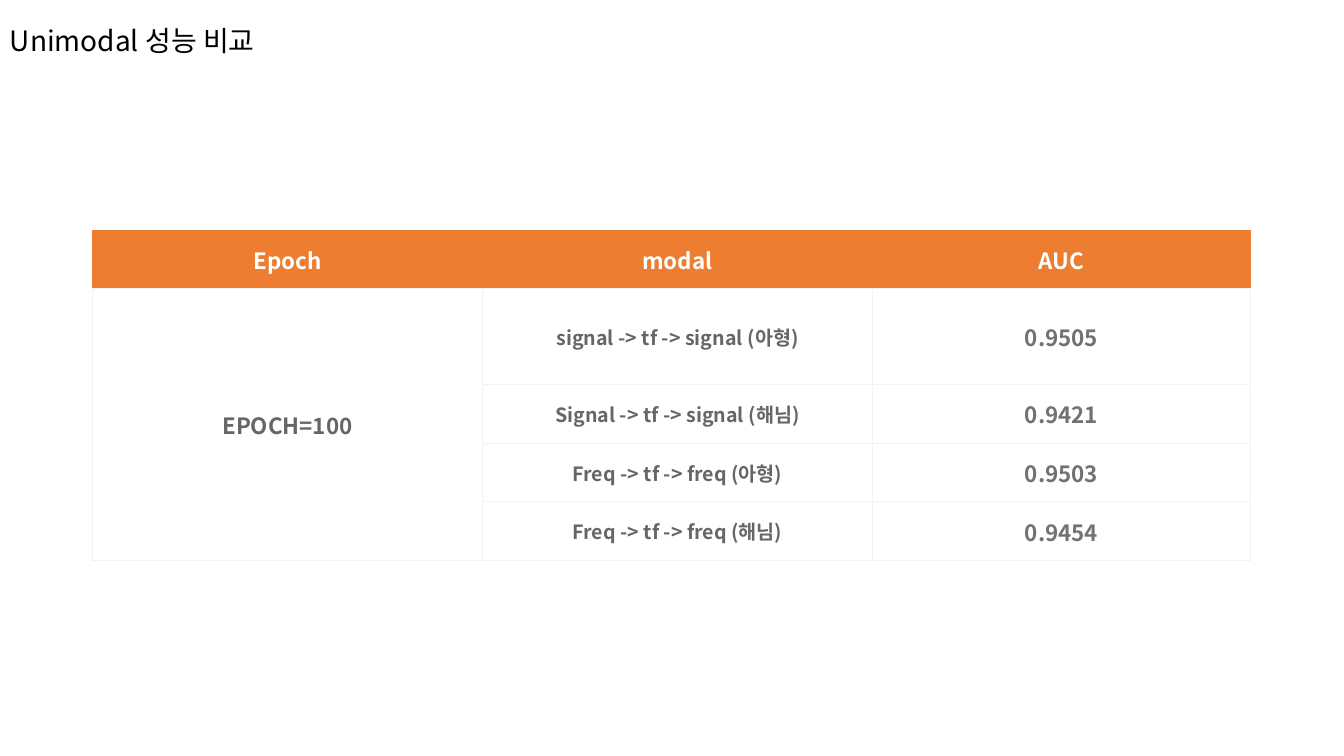
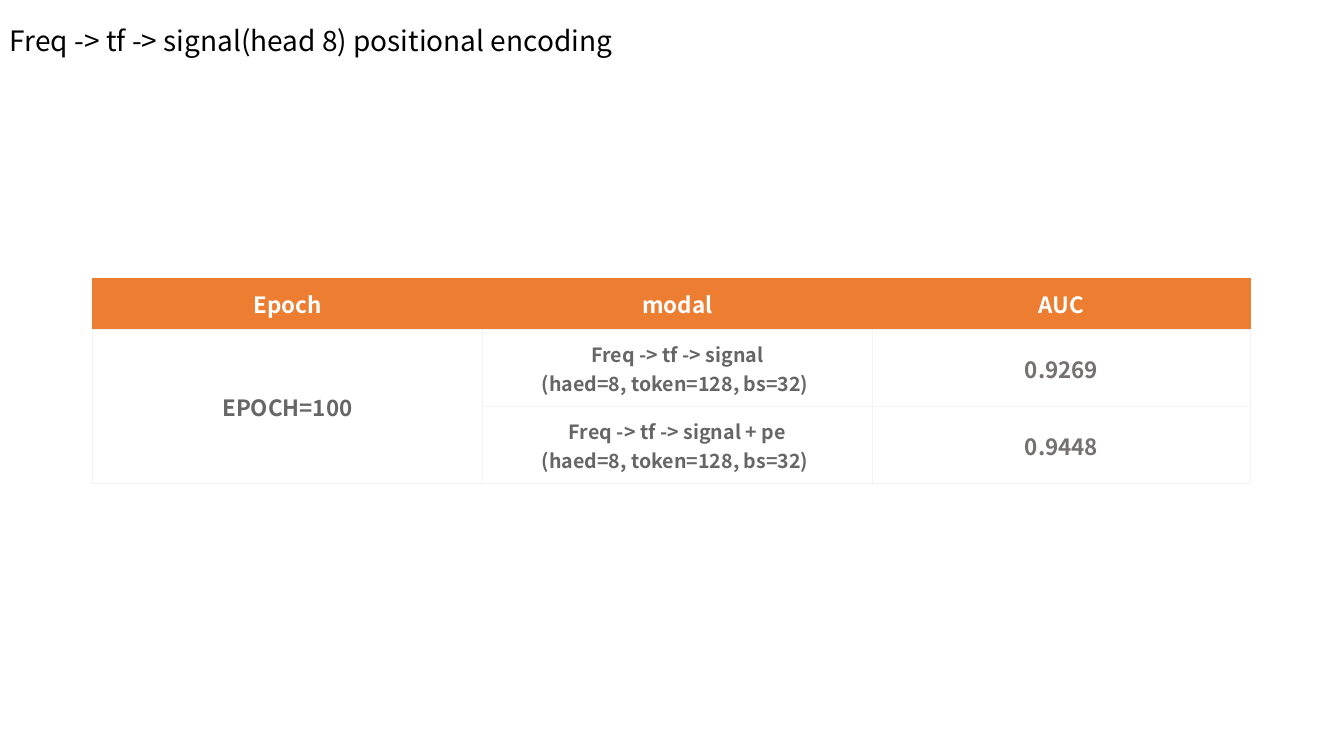
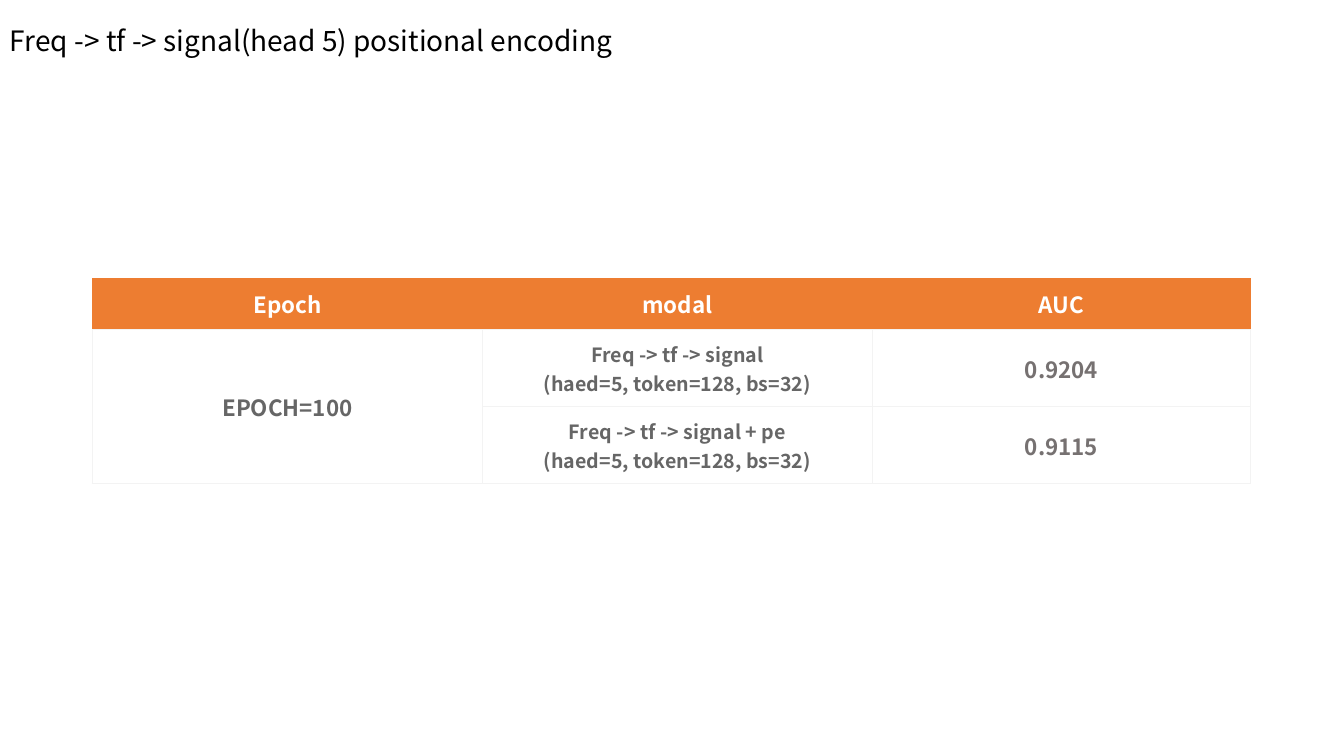
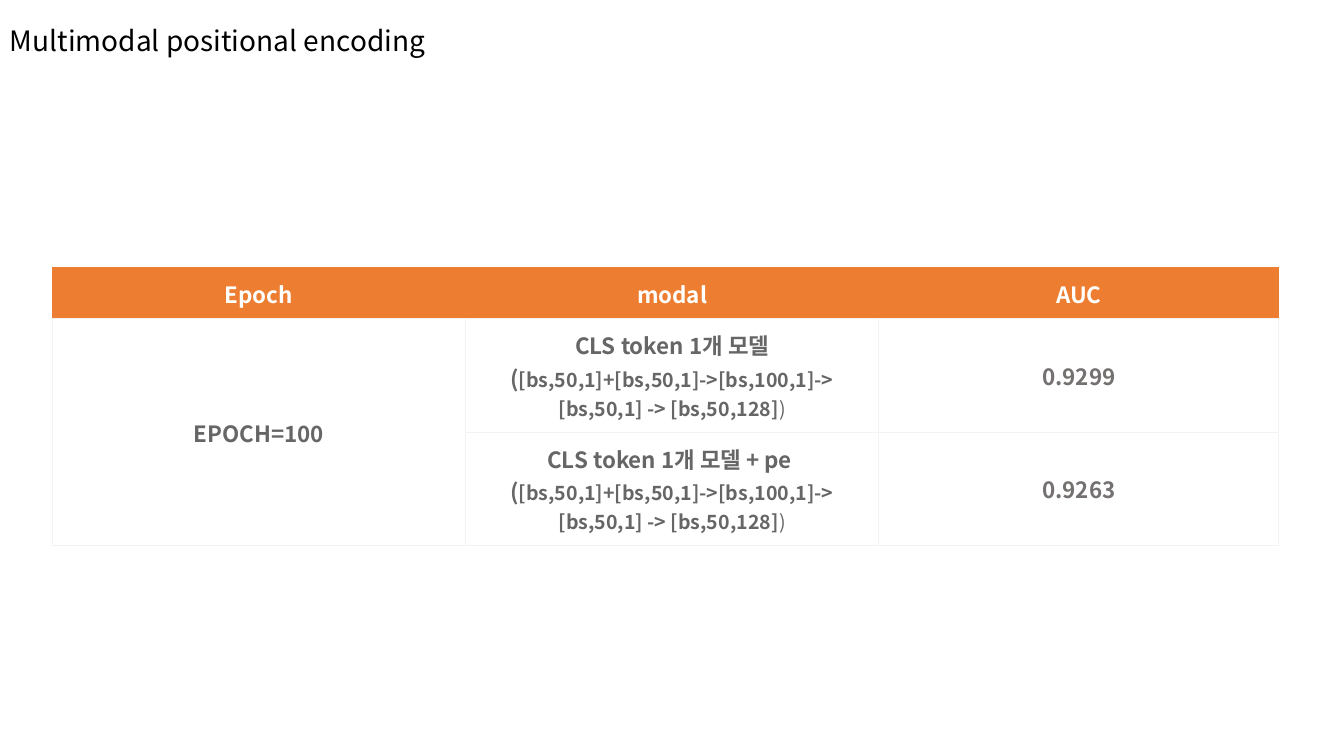
import pptx
import pptx.dml.color
import pptx.enum.text
import pptx.oxml.ns
import pptx.util
import lxml.etree

Pt = pptx.util.Pt
FONT = "Noto Sans CJK KR"
COLORS = {
    "title": "000000",
    "header": "ED7D31",
    "header_text": "FFFFFF",
    "body": "FFFFFF",
    "body_text": "666666",
    "score_text": "767171",
    "border": "F3F3F3",
}
HEADINGS = ("Epoch", "modal", "AUC")
WIDE_COLUMNS = (295.2, 295.2, 285.84)
NARROW_COLUMNS = (278.64, 278.64, 270)
HEADER_STYLE = {"size": Pt(16), "bold": True, "color": "header_text"}
BODY_STYLE = {"size": Pt(16), "bold": True, "color": "body_text"}
SMALL_STYLE = {**BODY_STYLE, "size": Pt(14)}
PLAIN_STYLE = {**SMALL_STYLE, "bold": False}
SCORE_STYLE = {**BODY_STYLE, "color": "score_text"}
TITLE_STYLE = {"size": Pt(20), "bold": False, "color": "title"}


def add_child(parent, tag, **attributes):
    return lxml.etree.SubElement(parent, pptx.oxml.ns.qn(tag), **attributes)


def set_values(target, values):
    for name, value in values.items():
        setattr(target, name, value)


def rgb(color):
    return pptx.dml.color.RGBColor.from_string(COLORS[color])


def add_span(para, text, style):
    span = para.add_run()
    span.text = text
    font = span.font
    set_values(font, {"name": FONT, "size": style["size"], "bold": style["bold"]})
    font.color.rgb = rgb(style["color"])
    add_child(span._r.get_or_add_rPr(), "a:ea", typeface=FONT)


def add_title(page, text):
    box = page.shapes.add_textbox(Pt(0), Pt(1.44), Pt(828), Pt(58.32))
    frame = box.text_frame
    set_values(frame, {"word_wrap": True,
                       "vertical_anchor": pptx.enum.text.MSO_ANCHOR.MIDDLE})
    para = frame.paragraphs[0]
    para.line_spacing = 0.9
    add_span(para, text, TITLE_STYLE)


def add_border(cell, tag, visible):
    line = add_child(cell._tc.get_or_add_tcPr(), tag, w=str(Pt(0.75)))
    if visible:
        add_child(add_child(line, "a:solidFill"), "a:srgbClr", val=COLORS["border"])
    else:
        add_child(line, "a:noFill")


def format_cell(cell, is_header):
    margins = ("margin_left", "margin_top", "margin_right", "margin_bottom")
    set_values(cell, dict.fromkeys(margins, Pt(7.2)))
    cell.vertical_anchor = pptx.enum.text.MSO_ANCHOR.MIDDLE
    for tag in ("a:lnL", "a:lnR", "a:lnT", "a:lnB"):
        add_border(cell, tag, not is_header or tag == "a:lnB")
    cell.fill.solid()
    cell.fill.fore_color.rgb = rgb("header" if is_header else "body")


def write_cell(cell, paragraphs, first_indent=0):
    frame = cell.text_frame
    for index, spans in enumerate(paragraphs):
        para = frame.add_paragraph() if index else frame.paragraphs[0]
        para.alignment = pptx.enum.text.PP_ALIGN.CENTER
        if first_indent and index == 0:
            para._p.get_or_add_pPr().set("indent", str(Pt(first_indent)))
        for text, style in spans:
            add_span(para, text, style)


def add_score_table(page, left, top, columns, heights, results):
    table = page.shapes.add_table(
        len(heights), len(columns), Pt(left), Pt(top),
        Pt(sum(columns)), Pt(sum(heights))).table
    table.horz_banding = False
    for column, width in zip(table.columns, columns):
        column.width = Pt(width)
    for index, height in enumerate(heights):
        table.rows[index].height = Pt(height)
        for cell in table.rows[index].cells:
            format_cell(cell, index == 0)
    for index, heading in enumerate(HEADINGS):
        write_cell(table.cell(0, index), [[(heading, HEADER_STYLE)]])
    table.cell(1, 0).merge(table.cell(len(results), 0))
    write_cell(table.cell(1, 0), [[("EPOCH=100", BODY_STYLE)]])
    for row, (paragraphs, score, first_indent) in enumerate(results, 1):
        write_cell(table.cell(row, 1), paragraphs, first_indent)
        write_cell(table.cell(row, 2), [[(score, SCORE_STYLE)]])


def small_result(lines, score):
    return [[(line, SMALL_STYLE)] for line in lines], score, 0


def token_result(name, score, first_indent=0):
    shapes = "[bs,50,1]+[bs,50,1]->[bs,100,1]-> [bs,50,1] -> [bs,50,128]"
    detail = [("(", BODY_STYLE), (shapes, SMALL_STYLE), (")", PLAIN_STYLE)]
    return [[(name, BODY_STYLE)], detail], score, first_indent


def add_page(deck, title):
    page = deck.slides.add_slide(deck.slide_layouts[6])
    add_title(page, title)
    return page


def add_unimodal_page(deck):
    page = add_page(deck, "Unimodal 성능 비교")
    results = [
        small_result(["signal -> tf -> signal (아형)"], "0.9505"),
        small_result(["Signal -> tf -> signal (해님)"], "0.9421"),
        small_result(["Freq -> tf -> freq (아형)"], "0.9503"),
        small_result(["Freq -> tf -> freq (해님)"], "0.9454"),
    ]
    heights = (41.76, 68.4, 42, 42, 42)
    add_score_table(page, 66, 164.4, NARROW_COLUMNS, heights, results)


def add_head_page(deck, heads, base_score, encoded_score):
    page = add_page(deck, f"Freq -> tf -> signal(head {heads}) positional encoding")
    settings = f"(haed={heads}, token=128, bs=32)" + (" " if heads == 8 else "")
    results = [
        small_result(["Freq -> tf -> signal", settings], base_score),
        small_result(["Freq -> tf -> signal + pe", settings], encoded_score),
    ]
    add_score_table(page, 66, 198.6, NARROW_COLUMNS, (37, 55, 55), results)


def add_multimodal_page(deck):
    page = add_page(deck, "Multimodal positional encoding")
    results = [
        token_result("CLS token 1개 모델", "0.9299", -27),
        token_result("CLS token 1개 모델 + pe ", "0.9263"),
    ]
    add_score_table(page, 37.3, 190.8, WIDE_COLUMNS, (37, 81, 81), results)


def main():
    deck = pptx.Presentation()
    set_values(deck, {"slide_width": Pt(960), "slide_height": Pt(540)})
    add_unimodal_page(deck)
    add_head_page(deck, 8, "0.9269", "0.9448")
    add_head_page(deck, 5, "0.9204", "0.9115")
    add_multimodal_page(deck)
    deck.save("out.pptx")


if __name__ == "__main__":
    main()
